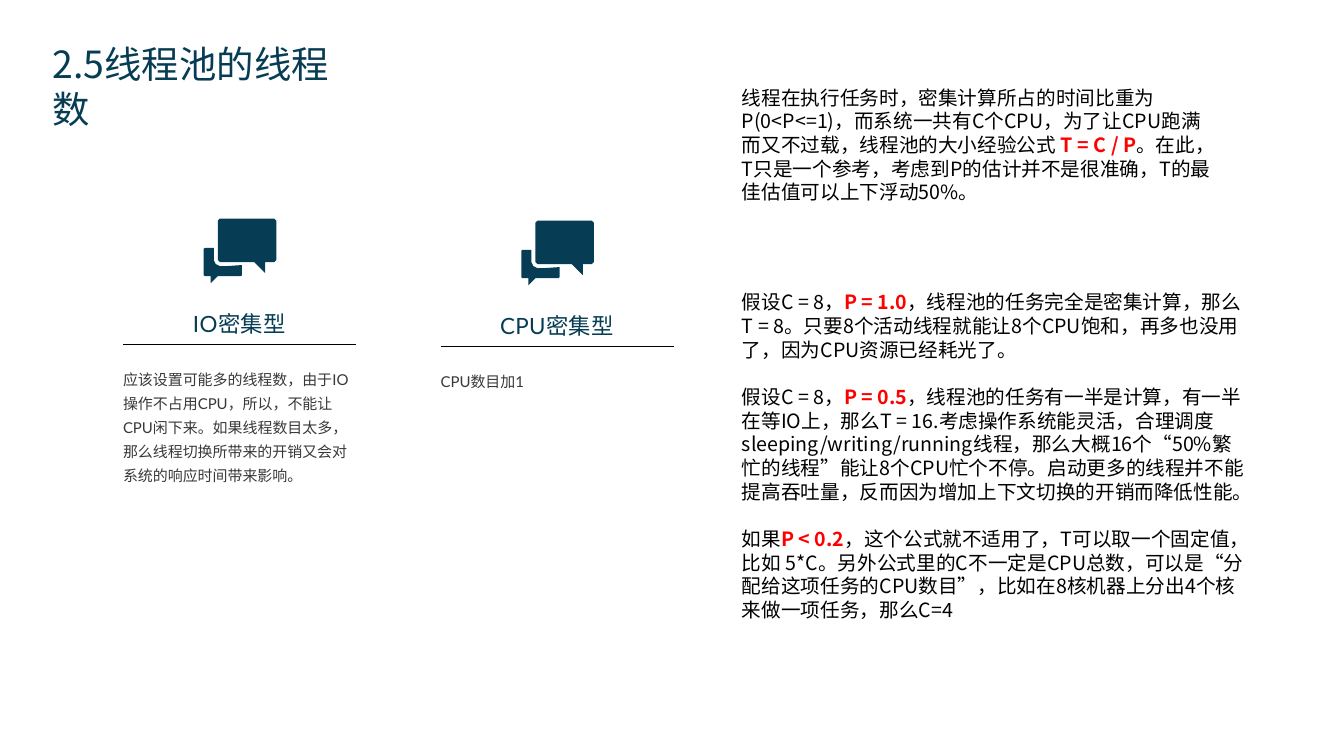
from dataclasses import dataclass

from lxml.etree import SubElement
from pptx import Presentation
from pptx.dml.color import RGBColor
from pptx.enum.shapes import MSO_CONNECTOR
from pptx.enum.text import MSO_ANCHOR, MSO_AUTO_SIZE, PP_ALIGN
from pptx.oxml.ns import qn
from pptx.slide import Slide
from pptx.text.text import TextFrame, _Paragraph as Paragraph, _Run as Run
from pptx.util import Inches, Pt

NAVY = RGBColor(0x06, 0x3D, 0x54)
GRAY = RGBColor(0x3B, 0x38, 0x38)
BLACK = RGBColor(0, 0, 0)
RED = RGBColor(0xFF, 0, 0)
LATO = "Lato"
NOTO = "Noto Sans CJK SC"

COLUMN_WIDTH = 2.31
BODY_PITCH = Pt(16.9)

# Speech bubble outlines in hundredths of an inch
SMALL_BUBBLE = [(0, 30), (1, 29), (10, 29), (10, 41), (12, 45), (16, 47), (23, 47),
                (38, 46), (38, 56), (37, 57), (14, 57), (7, 64), (7, 57), (1, 57), (0, 56)]
LARGE_BUBBLE = [(14, 2), (16, 0), (70, 0), (72, 2), (72, 41), (70, 43),
                (61, 43), (61, 54), (50, 43), (16, 43), (14, 41)]


@dataclass
class TaskType:
    left: float
    icon_top: float
    heading: str
    advice: str


@dataclass
class Passage:
    lead: str
    formula: str
    rest: str


TASK_TYPES = [
    TaskType(1.22, 2.17, "IO密集型",
             "应该设置可能多的线程数，由于IO操作不占用CPU，所以，不能让CPU闲下来。"
             "如果线程数目太多，那么线程切换所带来的开销又会对系统的响应时间带来影响。"),
    TaskType(4.37, 2.19, "CPU密集型", "CPU数目加1"),
]

RULE = [
    Passage("线程在执行任务时，密集计算所占的时间比重为P(0<P<=1)，而系统一共有C个CPU，"
            "为了让CPU跑满而又不过载，线程池的大小经验公式 ", "T = C / P",
            "。在此，T只是一个参考，考虑到P的估计并不是很准确，T的最佳估值可以上下浮动50%。"),
]

CASES = [
    Passage("假设C = 8，", "P = 1.0",
            "，线程池的任务完全是密集计算，那么T = 8。只要8个活动线程就能让8个CPU饱和，"
            "再多也没用了，因为CPU资源已经耗光了。"),
    Passage("假设C = 8，", "P = 0.5",
            "，线程池的任务有一半是计算，有一半在等IO上，那么T = 16.考虑操作系统能灵活，"
            "合理调度sleeping/writing/running线程，那么大概16个“50%繁忙的线程”能让8个CPU忙个不停。"
            "启动更多的线程并不能提高吞吐量，反而因为增加上下文切换的开销而降低性能。"),
    Passage("如果", "P < 0.2",
            "，这个公式就不适用了，T可以取一个固定值，比如 5*C。另外公式里的C不一定是CPU总数，"
            "可以是“分配给这项任务的CPU数目”，比如在8核机器上分出4个核来做一项任务，那么C=4"),
]


def format_run(span: Run, font: str, size: float, color: RGBColor, bold: bool = False) -> None:
    span.font.name = font
    span.font.size = Pt(size)
    span.font.bold = bold
    span.font.color.rgb = color
    SubElement(span.font._element, qn("a:ea"), typeface=NOTO)


def add_text_box(page: Slide, left: float, top: float, width: float, height: float) -> TextFrame:
    box = page.shapes.add_textbox(Inches(left), Inches(top), Inches(width), Inches(height))
    box.text_frame.word_wrap = True
    return box.text_frame


def add_column_text(page: Slide, left: float, top: float, height: float, text: str,
                    size: float, pitch: float, color: RGBColor) -> Paragraph:
    frame = add_text_box(page, left, top, COLUMN_WIDTH, height)
    frame.margin_left = frame.margin_right = frame.margin_top = frame.margin_bottom = 0
    para = frame.paragraphs[0]
    para.text = text
    para.line_spacing = Pt(pitch)
    para.space_after = Pt(8)
    format_run(para.runs[0], LATO, size, color)
    return para


def add_bubbles(page: Slide, left: float, top: float) -> None:
    builder = page.shapes.build_freeform(*SMALL_BUBBLE[0], scale=Inches(0.01))
    builder.add_line_segments(SMALL_BUBBLE[1:])
    builder.move_to(*LARGE_BUBBLE[0])
    builder.add_line_segments(LARGE_BUBBLE[1:])
    icon = builder.convert_to_shape(Inches(left), Inches(top))
    icon.shadow.inherit = False
    icon.fill.solid()
    icon.fill.fore_color.rgb = NAVY
    icon.line.fill.background()


def add_task_type(page: Slide, task: TaskType) -> None:
    """Draw one column: icon, heading, rule and advice."""
    left, top = task.left, task.icon_top
    add_bubbles(page, left + 0.8, top)
    heading = add_column_text(page, left, top + 0.86, 0.3, task.heading, 16, 22.7, NAVY)
    heading.alignment = PP_ALIGN.CENTER
    heading.runs[0].font._element.set("spc", "30")
    line_y = Inches(top + 1.25)
    line = page.shapes.add_connector(MSO_CONNECTOR.STRAIGHT, Inches(left), line_y,
                                     Inches(left + COLUMN_WIDTH), line_y)
    line.line.color.rgb = BLACK
    line.line.width = Pt(1)
    SubElement(line._element.spPr, qn("a:effectLst"))
    add_column_text(page, left, top + 1.44, 1.54, task.advice, 10.7, 17.3, GRAY)


def add_passages(page: Slide, top: float, width: float, height: float,
                 passages: list[Passage]) -> None:
    frame = add_text_box(page, 7.26, top, width, height)
    for index, passage in enumerate(passages):
        para = frame.add_paragraph() if index else frame.paragraphs[0]
        para.line_spacing = BODY_PITCH
        if index:
            para.space_before = BODY_PITCH
        for text in (passage.lead, passage.formula, passage.rest):
            span = para.add_run()
            span.text = text
            is_formula = text == passage.formula
            format_run(span, NOTO, 14, RED if is_formula else BLACK, is_formula)


def set_title(page: Slide, text: str) -> None:
    title = page.shapes.title
    title.left, title.top = Inches(0.42), Inches(0.36)
    title.width, title.height = Inches(3.29), Inches(0.55)
    frame = title.text_frame
    frame.text = text
    frame.word_wrap = True
    frame.auto_size = MSO_AUTO_SIZE.NONE
    frame.vertical_anchor = MSO_ANCHOR.TOP
    para = frame.paragraphs[0]
    para.alignment = PP_ALIGN.LEFT
    para.line_spacing = Pt(32)
    format_run(para.runs[0], NOTO, 26.7, NAVY)


def main() -> None:
    deck = Presentation()
    deck.slide_width, deck.slide_height = Inches(13.33), Inches(7.5)
    page = deck.slides.add_slide(deck.slide_layouts.get_by_name("Title Only"))
    set_title(page, "2.5线程池的线程数")
    for task in TASK_TYPES:
        add_task_type(page, task)
    add_passages(page, 0.8, 4.85, 1.28, RULE)
    add_passages(page, 2.83, 5.18, 3.4, CASES)
    deck.save("out.pptx")


if __name__ == "__main__":
    main()
